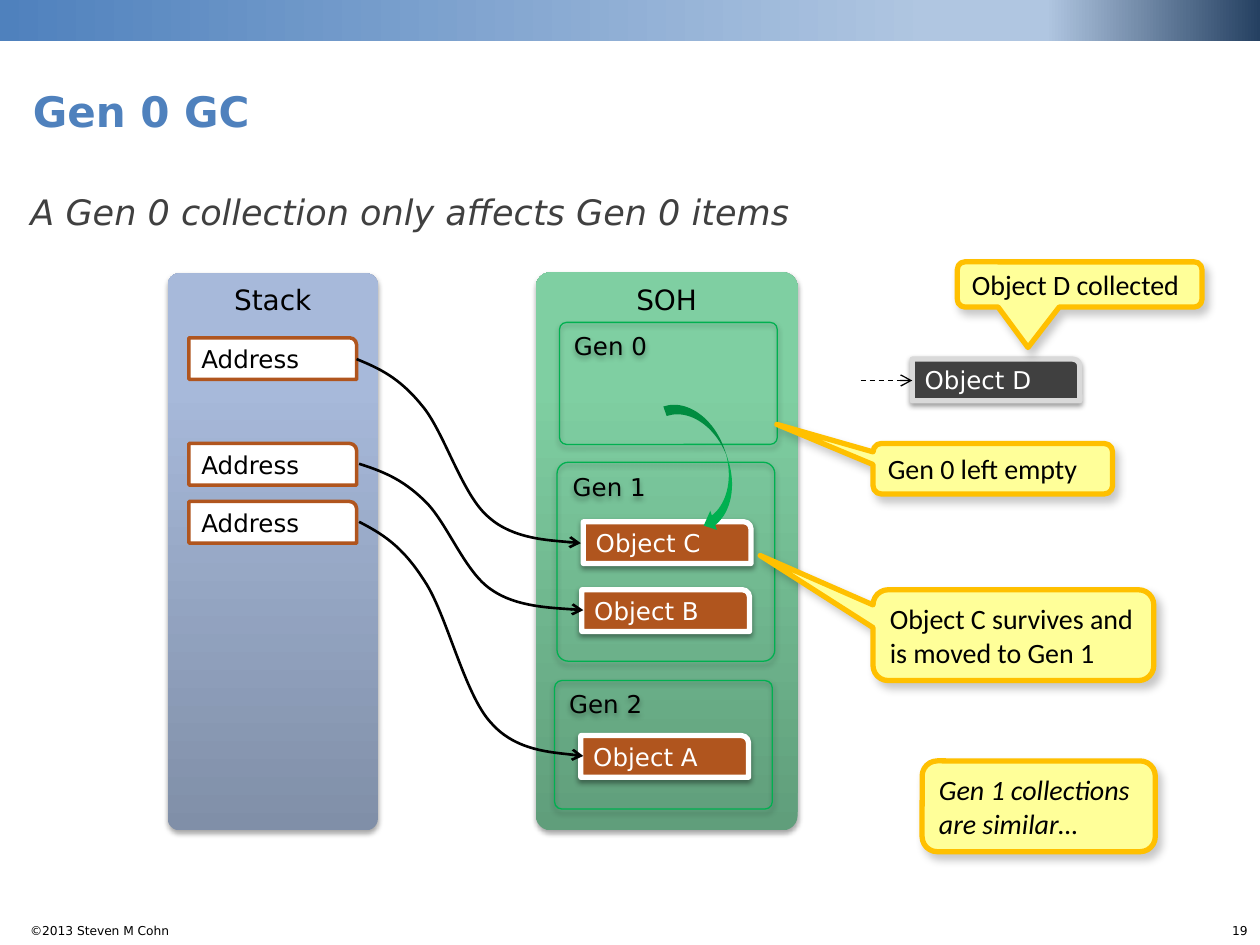
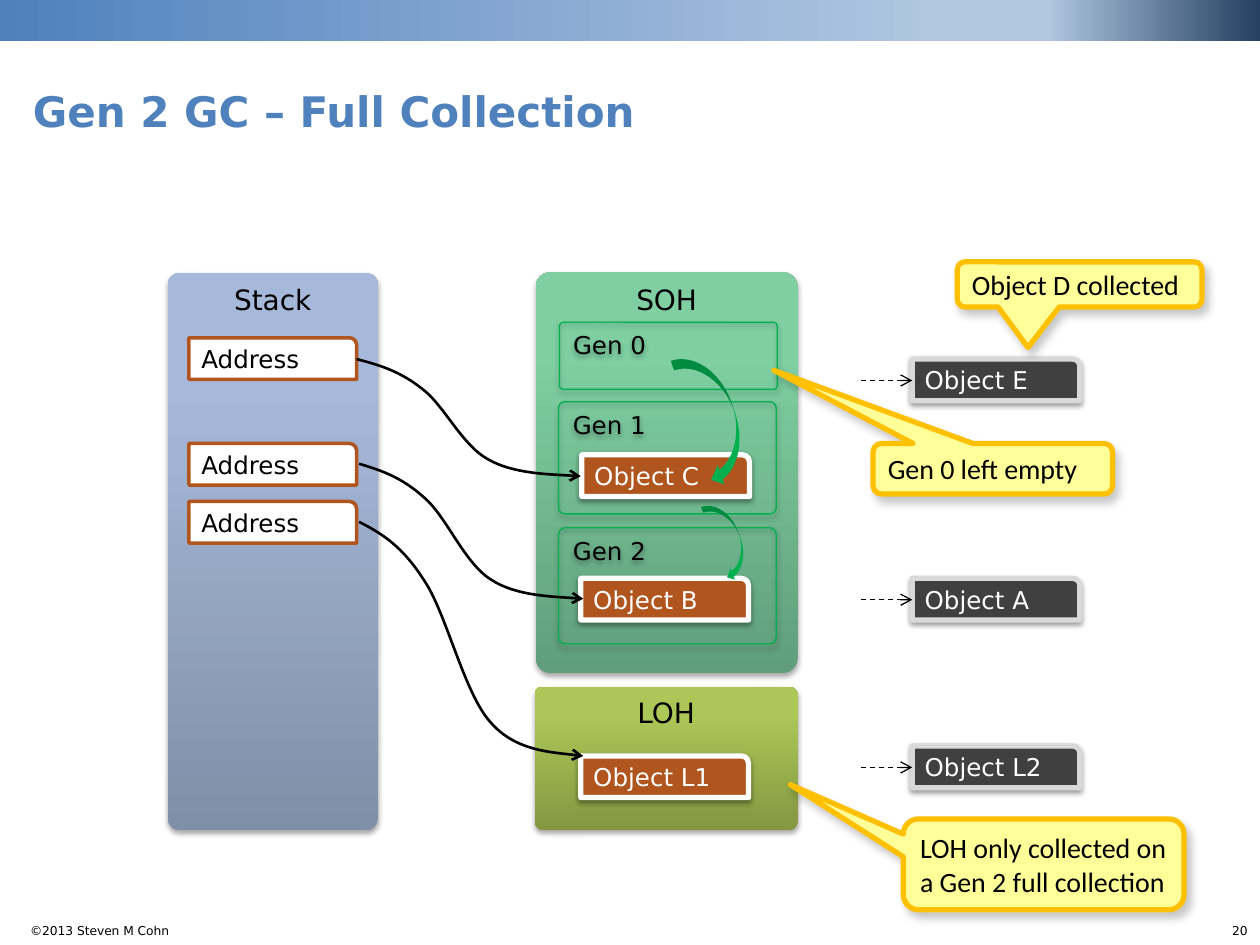
from lxml.etree import SubElement
from pptx import Presentation
from pptx.dml.color import RGBColor
from pptx.enum.dml import MSO_LINE
from pptx.enum.shapes import MSO_CONNECTOR, MSO_SHAPE
from pptx.enum.text import MSO_ANCHOR, MSO_AUTO_SIZE, PP_ALIGN
from pptx.oxml.ns import qn
from pptx.util import Cm, Pt

COLOURS = {
    "black": "000000", "white": "FFFFFF", "blue": "4F81BD", "grey": "404040",
    "silver": "D9D9D9", "rust": "B0551E", "green": "00B050",
    "yellow": "FFFF99", "amber": "FFC000",
}
GRADIENTS = {
    "band": (0, [(0, "4F81BD"), (74, "B0C6E1"), (83, "B0C6E1"), (100, "254061")]),
    "stack": (90, [(0, "808FA8"), (80, "A7B9DA"), (100, "A6BADC")]),
    "soh": (90, [(0, "609E7B"), (80, "7FCFA2"), (100, "7ED2A2")]),
    "loh": (90, [(0, "839740"), (80, "ACC657"), (100, "AEC955")]),
}
SHADOWS = {
    "column": (35, 3.1, 1.8, 90),
    "object": (38, 3.1, 1.6, 90),
    "callout": (22, 5, 4, 56),
}
COLUMN = dict(kind=MSO_SHAPE.ROUNDED_RECTANGLE, adjustments=[0.057], shadow="column",
              size=16, align=PP_ALIGN.CENTER)
GENERATION = dict(kind=MSO_SHAPE.ROUNDED_RECTANGLE, adjustments=[0.057], shadow="column",
                  line=("green", 0.75))
ADDRESS = dict(kind=MSO_SHAPE.ROUND_1_RECTANGLE, fill="white", line=("rust", 2))
LIVE = dict(kind=MSO_SHAPE.ROUND_1_RECTANGLE, fill="rust", line=("white", 3),
            shadow="object", colour="white")
DEAD = dict(LIVE, fill="grey", line=("silver", 3))
CALLOUT = dict(kind=MSO_SHAPE.ROUNDED_RECTANGULAR_CALLOUT, fill="yellow", line=("amber", 3),
               shadow="callout", size=16, typeface="Calibri", anchor=MSO_ANCHOR.MIDDLE)
SWEEP = dict(kind=MSO_SHAPE.CURVED_LEFT_ARROW, adjustments=[0.229, 0.458, 0.25], fill="green")

OBJECT_SIZE = (3.38, 0.84)
GENERATION_WIDTH = 4.39
DEAD_LEFT = 18.39
CURVE_WIDTH = 4.52
CURVE_POINTS = [(0.1, 0.05), (0.19, 0.1), (0.29, 0.25),
                (0.39, 0.39), (0.47, 0.74), (0.59, 0.86),
                (0.7, 0.98), (1, 1), (1, 1)]
CURVE_STARTS = [(7.19, 7.24), (7.24, 9.35), (7.24, 10.52)]
ADDRESS_TOPS = [6.81, 8.94, 10.11]

SLIDES = [
    dict(
        number=19,
        title="Gen 0 GC",
        body="A Gen 0 collection only affects Gen 0 items",
        heaps=[("SOH", "soh", (10.8, 5.49, 5.28, 11.25))],
        generations=[("Gen 0", 11.28, 6.5, 2.46), ("Gen 1", 11.23, 9.32, 4.01),
                     ("Gen 2", 11.18, 13.72, 2.59)],
        live=[("Object C", 11.76, 10.52), ("Object B", 11.73, 11.89),
              ("Object A", 11.71, 14.83)],
        dead=[("Object D", 7.24)],
        curve_heights=[3.71, 2.95, 4.72],
        sweeps=[((13.79, 7.98, 0.89, 2.74), 341.3)],
        callouts=[
            ("Object D collected", (19.3, 5.28, 4.93, 0.91), (-0.211, 1.397), False),
            ("Object C survives and is moved to Gen 1", (17.6, 11.89, 5.66, 1.83),
             (-0.902, -0.878), False),
            ("Gen 0 left empty", (17.6, 8.94, 4.83, 1.02), (-0.902, -0.878), False),
            ("Gen 1 collections are similar…", (18.59, 15.34, 4.7, 1.83),
             (-0.499, -0.223), True),
        ],
    ),
    dict(
        number=20,
        title="Gen 2 GC – Full Collection",
        body=None,
        heaps=[("SOH", "soh", (10.8, 5.49, 5.28, 8.08)),
               ("LOH", "loh", (10.78, 13.84, 5.3, 2.9))],
        generations=[("Gen 0", 11.28, 6.5, 1.35), ("Gen 1", 11.26, 8.1, 2.26),
                     ("Gen 2", 11.26, 10.64, 2.34)],
        live=[("Object C", 11.73, 9.17), ("Object B", 11.71, 11.66),
              ("Object L1", 11.71, 15.24)],
        dead=[("Object E", 7.24), ("Object A", 11.66), ("Object L2", 15.04)],
        curve_heights=[2.36, 2.72, 4.72],
        sweeps=[((13.94, 7.06, 0.89, 2.74), 341.3), ((14.4, 10.08, 0.53, 1.63), 339.7)],
        callouts=[
            ("LOH only collected on a Gen 2 full collection", (18.21, 16.51, 5.66, 1.83),
             (-0.902, -0.878), False),
            ("Gen 0 left empty", (17.6, 8.94, 4.83, 1.02), (-0.914, -1.946), False),
            ("Object D collected", (19.3, 5.28, 4.93, 0.91), (-0.211, 1.397), False),
        ],
    ),
]


def write(shape, text, size, colour="black", typeface="DejaVu Sans", bold=False,
          italic=False, align=PP_ALIGN.LEFT, anchor=MSO_ANCHOR.TOP, wrap=True):
    frame = shape.text_frame
    frame.word_wrap = wrap
    frame.auto_size = MSO_AUTO_SIZE.NONE
    frame.vertical_anchor = anchor
    para = frame.paragraphs[0]
    para.add_run().text = text
    para.alignment = align
    font = para.font
    font.name, font.size, font.bold, font.italic = typeface, Pt(size), bold, italic
    font.color.rgb = RGBColor.from_string(COLOURS[colour])


def add_box(page, place, kind, text=None, fill=None, gradient=None, line=None,
            shadow=None, adjustments=(), size=14, **text_style):
    box = page.shapes.add_shape(kind, *map(Cm, place))
    for index, value in enumerate(adjustments):
        box.adjustments[index] = value
    if gradient:
        angle, stops = GRADIENTS[gradient]
        box.fill.gradient()
        box.fill.gradient_angle = angle
        stop_list = box._element.spPr.find(qn("a:gradFill")).find(qn("a:gsLst"))
        stop_list.clear()
        for position, colour in stops:
            stop = SubElement(stop_list, qn("a:gs"), pos=str(position * 1000))
            SubElement(stop, qn("a:srgbClr"), val=colour)
    elif fill:
        box.fill.solid()
        box.fill.fore_color.rgb = RGBColor.from_string(COLOURS[fill])
    else:
        box.fill.background()
    if line:
        box.line.color.rgb = RGBColor.from_string(COLOURS[line[0]])
        box.line.width = Pt(line[1])
    else:
        box.line.fill.background()
    box.shadow.inherit = False
    if shadow:
        opacity, blur, distance, angle = SHADOWS[shadow]
        effects = box._element.spPr.find(qn("a:effectLst"))
        outer = SubElement(effects, qn("a:outerShdw"), blurRad=str(Pt(blur)),
                           dist=str(Pt(distance)), dir=str(angle * 60000), rotWithShape="0")
        tint = SubElement(outer, qn("a:srgbClr"), val=COLOURS["black"])
        SubElement(tint, qn("a:alpha"), val=str(opacity * 1000))
    if text:
        write(box, text, size, **text_style)
    return box


deck = Presentation()
deck.slide_width, deck.slide_height = Cm(25.4), Cm(19.05)
pages = [deck.slides.add_slide(deck.slide_layouts[1 if content["body"] else 5])
         for content in SLIDES]

band = add_box(pages[0], (0, -0.03, 25.4, 0.86), MSO_SHAPE.RECTANGLE, gradient="band")
footer = pages[0].shapes.add_textbox(Cm(0.28), Cm(18.49), Cm(3.38), Cm(0.56))
write(footer, "©2013 Steven M Cohn", 7, align=PP_ALIGN.RIGHT, wrap=False)
for shared in (band, footer):
    deck.slide_master.shapes._spTree.append(shared._element)

for page, content in zip(pages, SLIDES):
    title = page.shapes.title
    title.left, title.top, title.width, title.height = Cm(0.41), Cm(0.7), Cm(18.03), Cm(2.17)
    write(title, content["title"], 24, "blue", bold=True, anchor=MSO_ANCHOR.BOTTOM)

    if content["body"]:
        body = page.placeholders[1]
        body.left, body.top, body.width, body.height = Cm(0.36), Cm(3.63), Cm(24.13), Cm(13.97)
        para = body.text_frame.paragraphs[0]
        para.line_spacing = 1.1
        para.space_before = Pt(4)
        properties = para._p.get_or_add_pPr()
        properties.set("marL", "0")
        properties.set("indent", "0")
        SubElement(properties, qn("a:buNone"))
        write(body, content["body"], 20, "grey", italic=True)

    number = page.shapes.add_textbox(Cm(24.38), Cm(18.49), Cm(1.02), Cm(0.56))
    write(number, str(content["number"]), 7, align=PP_ALIGN.RIGHT, wrap=False)

    add_box(page, (3.38, 5.51, 4.24, 11.23), text="Stack", gradient="stack", **COLUMN)
    for name, gradient, place in content["heaps"]:
        add_box(page, place, text=name, gradient=gradient, **COLUMN)
    for name, left, top, height in content["generations"]:
        add_box(page, (left, top, GENERATION_WIDTH, height), text=name, **GENERATION)
    for top in ADDRESS_TOPS:
        add_box(page, (3.81, top, *OBJECT_SIZE), text="Address", **ADDRESS)
    for name, left, top in content["live"]:
        add_box(page, (left, top, *OBJECT_SIZE), text=name, **LIVE)

    arrows = []
    for (left, top), height in zip(CURVE_STARTS, content["curve_heights"]):
        builder = page.shapes.build_freeform(Cm(left), Cm(top))
        builder.add_line_segments([(Cm(left + x * CURVE_WIDTH), Cm(top + y * height))
                                   for x, y in CURVE_POINTS], close=False)
        curve = builder.convert_to_shape()
        curve.fill.background()
        curve.shadow.inherit = False
        curve.line.width = Pt(1.5)
        outline = next(curve._element.iter(qn("a:path")))
        segments = outline.findall(qn("a:lnTo"))
        for start in range(0, len(segments), 3):
            bend = SubElement(outline, qn("a:cubicBezTo"))
            for segment in segments[start:start + 3]:
                bend.append(segment[0])
                outline.remove(segment)
        arrows.append(curve)

    for name, top in content["dead"]:
        add_box(page, (DEAD_LEFT, top, *OBJECT_SIZE), text=name, **DEAD)
        middle = Cm(top + 0.43)
        pointer = page.shapes.add_connector(MSO_CONNECTOR.STRAIGHT, Cm(17.35), middle,
                                            Cm(DEAD_LEFT), middle)
        pointer.line.width = Pt(0.75)
        pointer.line.dash_style = MSO_LINE.DASH
        arrows.append(pointer)

    for arrow in arrows:
        arrow.line.color.rgb = RGBColor.from_string(COLOURS["black"])
        SubElement(arrow.line._get_or_add_ln(), qn("a:tailEnd"), type="arrow")
        if arrow._element.spPr.find(qn("a:effectLst")) is None:
            SubElement(arrow._element.spPr, qn("a:effectLst"))

    for place, rotation in content["sweeps"]:
        add_box(page, place, **SWEEP).rotation = rotation
    for text, place, tip, italic in content["callouts"]:
        add_box(page, place, text=text, adjustments=[*tip, 0.167], italic=italic, **CALLOUT)

deck.save("out.pptx")
